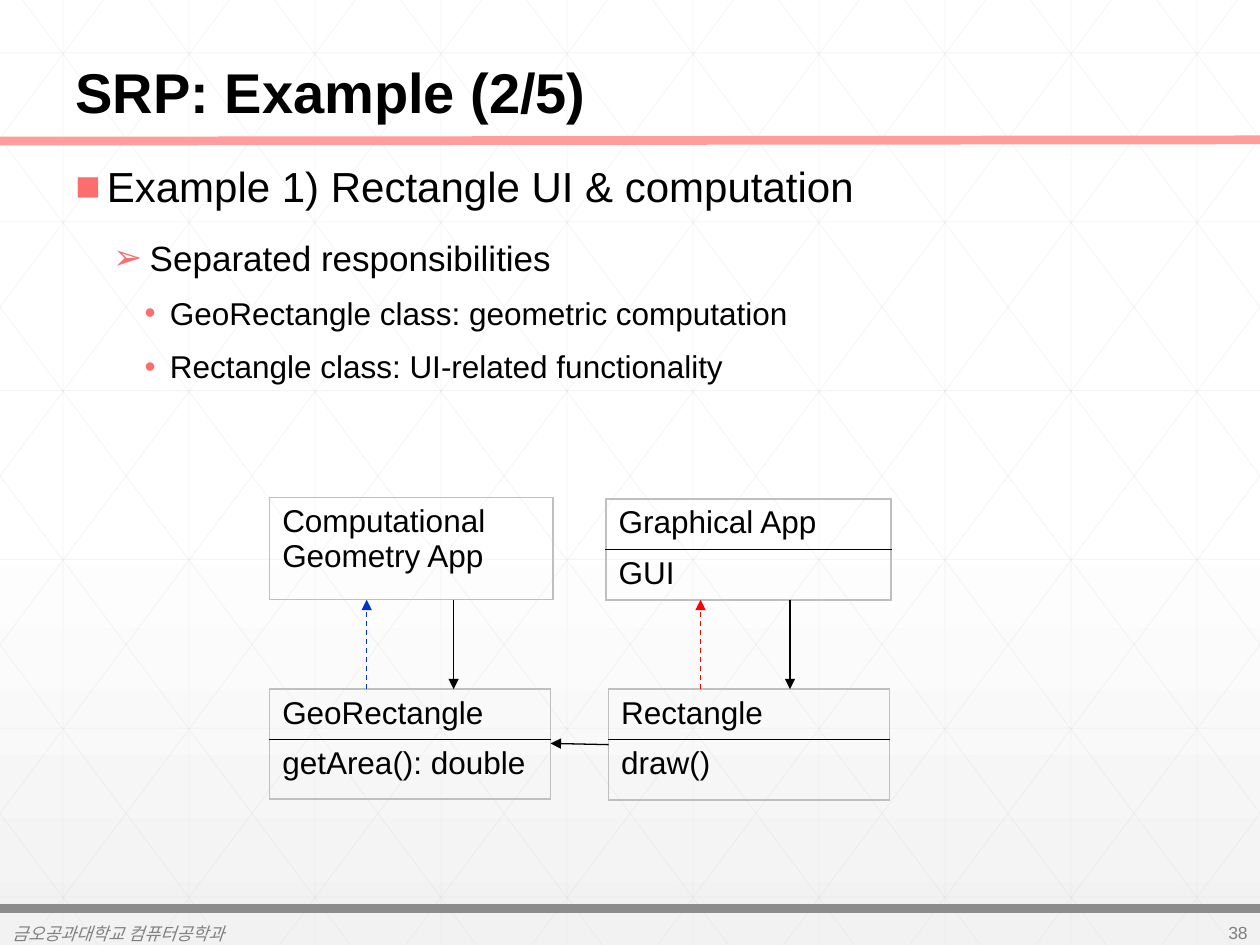
from dataclasses import dataclass
from lxml.etree import SubElement
from pptx import Presentation
from pptx.dml.color import RGBColor
from pptx.enum.dml import MSO_LINE_DASH_STYLE as Dash
from pptx.enum.shapes import MSO_CONNECTOR as Connector
from pptx.enum.text import MSO_ANCHOR as Anchor, PP_ALIGN as Align
from pptx.oxml.ns import qn
from pptx.util import Inches, Pt


@dataclass(frozen=True)
class Theme:
    font: str = "Arial"
    black: str = "000000"
    white: str = "FFFFFF"
    shade: str = "F2F2F2"
    grid: str = "D9D9D9"
    accent: str = "FA6E6E"
    rule: str = "FF9C9C"
    bar: str = "8C8C8C"
    muted: str = "808080"
    frame: str = "BFBFBF"
    red: str = "FF0000"
    blue: str = "0033CC"
    title: int = 32
    levels: tuple = (24, 20, 18)
    table: int = 18
    footer: int = 10


theme = Theme()
presentation = Presentation()
presentation.slide_width, presentation.slide_height = Inches(10), Inches(7.5)
slide = presentation.slides.add_slide(presentation.slide_layouts[6])

background = slide.background.fill
background.gradient()
background.gradient_angle = 270
for stop, position, color in zip(background.gradient_stops, (0.53, 1), (theme.white, theme.shade)):
    stop.position = position
    stop.color.rgb = RGBColor.from_string(color)


def add_line(start, end, color, width, alpha=None, arrow=False, dashed=False):
    points = [Inches(value) for value in (*start, *end)]
    connector = slide.shapes.add_connector(Connector.STRAIGHT, *points)
    connector.line.color.rgb = RGBColor.from_string(color)
    connector.line.width = Pt(width)
    properties = connector._element.spPr
    if alpha:
        color_element = next(properties.iter(qn("a:srgbClr")))
        SubElement(color_element, qn("a:alpha"), val=str(alpha * 1000))
    if dashed:
        connector.line.dash_style = Dash.DASH
    if arrow:
        SubElement(properties.find(qn("a:ln")), qn("a:tailEnd"), type="triangle")
    SubElement(properties, qn("a:effectLst"))


def style_runs(paragraph, size, color, bold=False, italic=False):
    for run in paragraph.runs:
        run.font.name = theme.font
        run.font.size = Pt(size)
        run.font.bold = bold
        run.font.italic = italic
        run.font.color.rgb = RGBColor.from_string(color)


grid_lines = [((0.5 + column, 0), (0.5 + column, 7.5)) for column in range(10)]
grid_lines += [((0, 0.42 + 1.34 * row), (10, 0.42 + 1.34 * row)) for row in range(6)]
run_width = 5.6
slope = 7.5 / run_width
for step in range(-5, 10):
    origin = 0.18 + step
    left, right = max(origin, 0), min(origin + run_width, 10)
    top, bottom = (left - origin) * slope, (right - origin) * slope
    grid_lines += [((left, top), (right, bottom)), ((10 - left, top), (10 - right, bottom))]
for start, end in grid_lines:
    add_line(start, end, theme.grid, 0.5, alpha=25)

add_line((0, 1.12), (10, 1.11), theme.rule, 5)
add_line((0, 7.21), (10, 7.21), theme.bar, 5)

body = slide.shapes.add_textbox(Inches(0.5), Inches(1.27), Inches(9), Inches(5.83))
body.text_frame.word_wrap = True
level_formats = [("■", 0.25, 0.25, 0), ("➢", 0.59, 0.29, 14), ("•", 0.75, 0.2, 9)]
outline = [
    (0, "Example 1) Rectangle UI & computation"),
    (1, "Separated responsibilities"),
    (2, "GeoRectangle class: geometric computation"),
    (2, "Rectangle class: UI-related functionality"),
]
for index, (level, text) in enumerate(outline):
    bullet, margin, hanging, space = level_formats[level]
    paragraph = body.text_frame.paragraphs[0] if index == 0 else body.text_frame.add_paragraph()
    paragraph.text = text
    paragraph.level = level
    if level == 0:
        paragraph.line_spacing = 0.9
    else:
        paragraph.space_before = Pt(space)
    properties = paragraph._p.get_or_add_pPr()
    properties.set("marL", str(Inches(margin)))
    properties.set("indent", str(-Inches(hanging)))
    SubElement(SubElement(properties, qn("a:buClr")), qn("a:srgbClr"), val=theme.accent)
    SubElement(properties, qn("a:buFont"), typeface=theme.font)
    SubElement(properties, qn("a:buChar"), char=bullet)
    style_runs(paragraph, theme.levels[level], theme.black)

captions = [
    ("SRP: Example (2/5)", (0.5, 0, 9, 1.05), Anchor.BOTTOM, Align.LEFT, theme.title, theme.black, True, False),
    ("금오공과대학교 컴퓨터공학과", (0, 7.29, 5.03, 0.24), Anchor.MIDDLE, Align.LEFT, theme.footer, theme.muted, False, True),
    ("38", (9.25, 7.28, 0.75, 0.24), Anchor.MIDDLE, Align.RIGHT, theme.footer, theme.muted, False, False),
]
for text, box, anchor, alignment, size, color, bold, italic in captions:
    caption = slide.shapes.add_textbox(*[Inches(value) for value in box])
    caption.text_frame.word_wrap = True
    caption.text_frame.vertical_anchor = anchor
    caption.text_frame.text = text
    paragraph = caption.text_frame.paragraphs[0]
    paragraph.alignment = alignment
    paragraph.line_spacing = 0.9 if bold else 1.0
    style_runs(paragraph, size, color, bold, italic)

class_boxes = [
    (2.14, 3.95, 2.25, [("Computational Geometry App", 0.81)]),
    (4.81, 3.96, 2.26, [("Graphical App", 0.38), ("GUI", 0.38)]),
    (2.14, 5.47, 2.23, [("GeoRectangle", 0.38), ("getArea(): double", 0.47)]),
    (4.83, 5.47, 2.23, [("Rectangle", 0.4), ("draw()", 0.48)]),
]
for left, top, width, rows in class_boxes:
    height = sum(row_height for text, row_height in rows)
    frame = slide.shapes.add_table(len(rows), 1, Inches(left), Inches(top), Inches(width), Inches(height))
    table = frame.table
    table.first_row = table.horz_banding = False
    for index, (text, row_height) in enumerate(rows):
        table.rows[index].height = Inches(row_height)
        cell = table.cell(index, 0)
        cell.text_frame.text = text
        style_runs(cell.text_frame.paragraphs[0], theme.table, theme.black)
        properties = cell._tc.get_or_add_tcPr()
        edges = {
            "a:lnL": theme.frame,
            "a:lnR": theme.frame,
            "a:lnT": theme.black if index > 0 else theme.frame,
            "a:lnB": theme.black if index < len(rows) - 1 else theme.frame,
        }
        for edge, color in edges.items():
            border = SubElement(properties, qn(edge), w=str(Pt(1)))
            SubElement(SubElement(border, qn("a:solidFill")), qn("a:srgbClr"), val=color)
        cell.fill.background()

for x, color in [(3.6, theme.black), (6.27, theme.black)]:
    add_line((x, 4.76), (x, 5.47), color, 0.75, arrow=True)
for x, color in [(5.56, theme.red), (2.91, theme.blue)]:
    add_line((x, 5.47), (x, 4.76), color, 0.75, arrow=True, dashed=True)
add_line((4.83, 5.91), (4.37, 5.9), theme.black, 0.75, arrow=True)

presentation.save("out.pptx")
